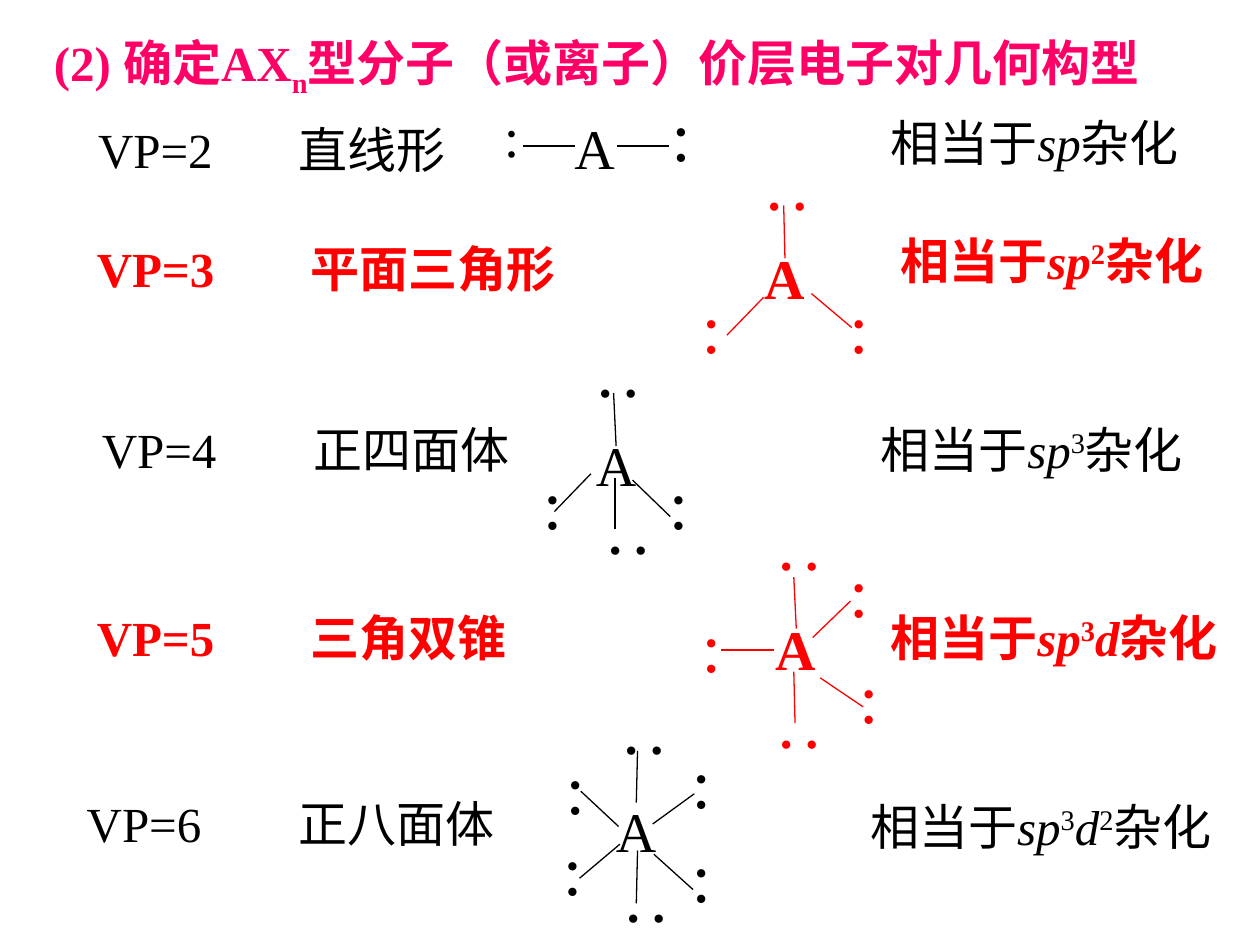
from lxml import etree
from pptx import Presentation
from pptx import util as u
from pptx.dml.color import RGBColor
from pptx.enum import shapes, text
from pptx.oxml.ns import qn

PX = 9144  # EMU per px, 100 px to the inch
BLACK, RED, PINK = "000000", "FF0000", "FF0066"


def px(n):
    return u.Emu(n * PX)


def rgb(code):
    return RGBColor.from_string(code)


class Board:
    font = "Times New Roman"
    body, atom, pair = 28, 32, 40
    shifts = {"sup": "30000", "sub": "-25000"}

    def __init__(self, prs):
        self.slide = prs.slides.add_slide(prs.slide_layouts[6])
        self.shapes = self.slide.shapes
        self.color, self.bold = BLACK, False

    def start_group(self, color, bold):
        self.shapes = self.slide.shapes.add_group_shape().shapes
        self.color, self.bold = color, bold

    def text(self, box, runs, size, bold=None, wrap=True, tab=None, vert=None):
        """Runs are (text, style); style is "", "i", "sup" or "sub"."""
        sp = self.shapes.add_textbox(*map(px, box))
        tf = sp.text_frame
        tf.word_wrap = wrap
        tf.auto_size = text.MSO_AUTO_SIZE.SHAPE_TO_FIT_TEXT
        if vert:
            tf._txBody.bodyPr.set("vert", vert)
        p = tf.paragraphs[0]
        if tab:
            tabs = etree.SubElement(p._p.get_or_add_pPr(), qn("a:tabLst"))
            etree.SubElement(tabs, qn("a:tab"), pos=str(px(tab)), algn="l")
        for words, style in runs:
            r = p.add_run()
            r.text = words
            values = {"name": self.font, "size": u.Pt(size), "italic": style == "i",
                      "bold": self.bold if bold is None else bold}
            for key, value in values.items():
                setattr(r.font, key, value)
            r.font.color.rgb = rgb(self.color)
            if style in self.shifts:
                r._r.get_or_add_rPr().set("baseline", self.shifts[style])

    def center(self, x, y):
        self.text((x, y, 52, 63), [("A", "")], self.atom, wrap=False)

    def side_pair(self, x, y):
        self.text((x, y, 36, 77), [(":", "")], self.pair, bold=False, wrap=False)

    def small_pair(self, x, y):
        self.text((x, y, 32, 63), [(":", "")], self.atom, bold=False, wrap=False)

    def flat_pair(self, x, y):
        self.text((x, y, 87, 26), [(":", "")], self.pair, bold=False, wrap=False,
                  vert="eaVert")

    def bond(self, x1, y1, x2, y2):
        line = self.shapes.add_connector(shapes.MSO_CONNECTOR.STRAIGHT,
                                         *map(px, (x1, y1, x2, y2)))
        line.line.color.rgb = rgb(self.color)
        line.line.width = u.Pt(0.75)
        etree.SubElement(line._element.spPr, qn("a:effectLst"))


# One entry per geometry: name box, tab, hybrid box, centre, bonds, electron pairs
ROWS = [
    dict(vp=2, shape="直线形", name=(68, 90, 345, 57), tab=159,
         hybrid=(697, 84, 303, 57), orbitals=[("sp", "i")], center=(446, 85),
         bonds=[(415, 116, 456, 116), (490, 116, 531, 116)],
         small=[(390, 76)], side=[(523, 68)]),
    dict(vp=3, shape="平面三角形", name=(67, 184, 457, 57), tab=170,
         hybrid=(705, 178, 323, 57), orbitals=[("sp", "i"), ("2", "sup")],
         center=(597, 188),
         bonds=[(622, 163, 623, 205), (644, 233, 676, 260), (577, 266, 606, 236)],
         side=[(547, 220), (664, 220)], flat=[(586, 147)]),
    dict(vp=4, shape="正四面体", name=(71, 328, 429, 57), tab=168,
         hybrid=(689, 328, 287, 57), orbitals=[("sp", "i"), ("3", "sup")],
         center=(463, 337),
         bonds=[(440, 406, 469, 376), (488, 420, 488, 379),
                (502, 381, 532, 410), (487, 312, 489, 354)],
         side=[(521, 360), (421, 360)], flat=[(460, 420), (452, 295)]),
    dict(vp=5, shape="三角双锥", name=(67, 477, 394, 57), tab=170,
         hybrid=(697, 477, 347, 57),
         orbitals=[("sp", "i"), ("3", "sup"), ("d", "i")], center=(606, 483),
         bonds=[(630, 533, 631, 574), (651, 538, 685, 561), (645, 506, 675, 477),
                (630, 458, 632, 499), (572, 516, 614, 516)],
         side=[(547, 473), (664, 430), (672, 514)], flat=[(595, 574), (595, 433)]),
    dict(vp=6, shape="正八面体", name=(59, 625, 394, 57), tab=168,
         hybrid=(681, 627, 319, 57),
         orbitals=[("sp", "i"), ("3", "sup"), ("d", "i"), ("2", "sup")],
         center=(479, 627),
         bonds=[(519, 678, 550, 706), (460, 697, 492, 670), (518, 654, 551, 630),
                (461, 628, 491, 656), (505, 717, 506, 675), (505, 637, 506, 596)],
         side=[(437, 650), (439, 586), (539, 656), (539, 581)],
         flat=[(474, 712), (472, 579)]),
]


def main():
    prs = Presentation()
    prs.slide_width, prs.slide_height = px(1000), px(750)
    board = Board(prs)

    # Title
    board.color, board.bold = PINK, True
    board.text((33, 21, 967, 57),
               [("(2) 确定AX", ""), ("n", "sub"), ("型分子（或离子）价层电子对几何构型", "")],
               board.body)

    # Geometry rows; odd pair counts stand out in bold red
    for row in ROWS:
        odd = row["vp"] % 2 == 1
        board.start_group(RED if odd else BLACK, odd)
        board.text(row["name"], [(f"VP={row['vp']}\t{row['shape']}", "")],
                   board.body, tab=row["tab"])
        board.center(*row["center"])
        for kind, draw in (("bonds", board.bond), ("small", board.small_pair),
                           ("side", board.side_pair), ("flat", board.flat_pair)):
            for place in row.get(kind, []):
                draw(*place)
        board.text(row["hybrid"], [("相当于", ""), *row["orbitals"], ("杂化", "")],
                   board.body)

    prs.save("out.pptx")


if __name__ == "__main__":
    main()
